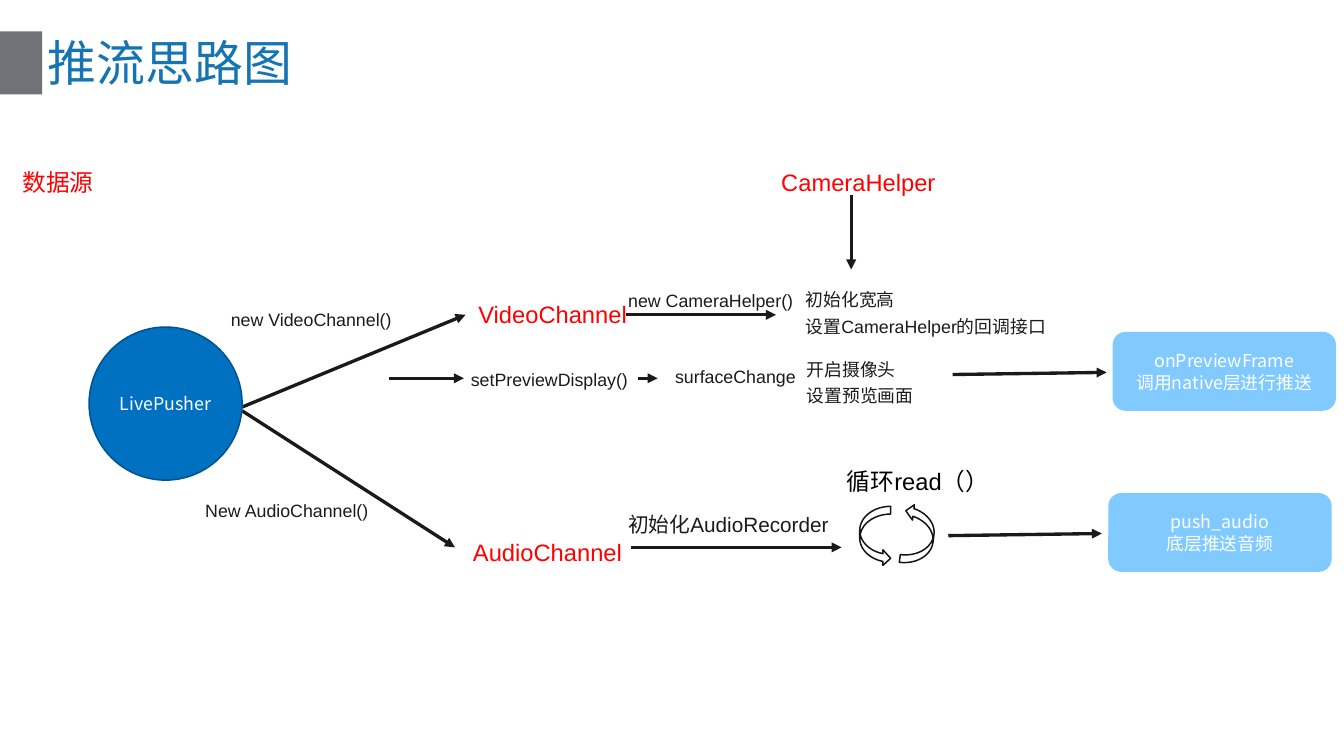
from dataclasses import dataclass

from lxml import etree
from pptx import Presentation
from pptx.dml.color import RGBColor
from pptx.enum.shapes import MSO_CONNECTOR, MSO_SHAPE
from pptx.enum.text import MSO_ANCHOR, PP_ALIGN
from pptx.oxml.ns import qn
from pptx.util import Inches, Pt

RECT, OVAL = MSO_SHAPE.RECTANGLE, MSO_SHAPE.OVAL
ROUNDED, CURVED = MSO_SHAPE.ROUNDED_RECTANGLE, MSO_SHAPE.CURVED_RIGHT_ARROW
STRAIGHT, MIDDLE = MSO_CONNECTOR.STRAIGHT, MSO_ANCHOR.MIDDLE
LEFT, CENTER, JUSTIFY = PP_ALIGN.LEFT, PP_ALIGN.CENTER, PP_ALIGN.JUSTIFY


@dataclass(frozen=True)
class Theme:
    title: RGBColor = RGBColor(0x14, 0x75, 0xB2)
    bar: RGBColor = RGBColor(0x6F, 0x73, 0x78)
    red: RGBColor = RGBColor(0xFF, 0x00, 0x00)
    text: RGBColor = RGBColor(0x1B, 0x1B, 0x1B)
    black: RGBColor = RGBColor(0x00, 0x00, 0x00)
    white: RGBColor = RGBColor(0xFF, 0xFF, 0xFF)
    arrow: RGBColor = RGBColor(0x1A, 0x1A, 0x1A)
    loop: RGBColor = RGBColor(0x14, 0x14, 0x14)
    circle: RGBColor = RGBColor(0x00, 0x70, 0xC0)
    circle_edge: RGBColor = RGBColor(0x00, 0x53, 0x8E)
    box: RGBColor = RGBColor(0x80, 0xCA, 0xFF)
    title_size: int = 66
    large: int = 32
    medium: int = 28
    small: int = 24
    arial: str = "Arial"
    noto: str = "Noto Sans CJK SC"


T = Theme()


def write(sp, text, size, color, font, align, spacing=None):
    tf = sp.text_frame
    tf.word_wrap = True
    tf.text = text
    for p in tf.paragraphs:
        p.alignment = align
        if spacing:
            p.line_spacing = spacing
        p.font.size = Pt(size)
        p.font.color.rgb = color
        p.font.name = font
        east_asian = etree.SubElement(p._p.pPr.find(qn("a:defRPr")), qn("a:ea"))
        east_asian.set("typeface", font)
    return tf


def add_shape(kind, box, fill=None, edge=None):
    sp = s.shapes.add_shape(kind, *map(Inches, box))
    sp.shadow.inherit = False
    if fill is None:
        sp.fill.background()
    else:
        sp.fill.solid()
        sp.fill.fore_color.rgb = fill
    if edge is None:
        sp.line.fill.background()
    else:
        sp.line.color.rgb = edge
        sp.line.width = Pt(2)
    return sp


prs = Presentation()
prs.slide_width, prs.slide_height = Inches(25.2), Inches(14.17)
s = prs.slides.add_slide(prs.slide_layouts[5])

add_shape(RECT, (0, 0.59, 0.79, 1.18), T.bar)
title = s.shapes.title
title.left, title.top, title.width, title.height = map(Inches, (0.79, 0.57, 23.62, 1.2))
write(title, "推流思路图", T.title_size, T.title, T.noto, LEFT).vertical_anchor = MIDDLE

arrows = [
    (4.54, 7.7, 8.53, 10.26),
    (4.54, 7.63, 8.73, 5.9),
    (11.74, 5.9, 14.55, 5.9),
    (11.83, 10.26, 15.78, 10.26),
    (17.86, 7.02, 20.75, 6.98),
    (15.96, 3.65, 15.96, 5.05),
    (7.29, 7.09, 8.7, 7.09),
    (11.97, 7.09, 12.33, 7.09),
    (17.78, 10.04, 20.66, 10),
]
for ends in arrows:
    arrow = s.shapes.add_connector(STRAIGHT, *map(Inches, ends))
    arrow.line.color.rgb = T.arrow
    arrow.line.width = Pt(4.5)
    etree.SubElement(arrow.line._get_or_add_ln(), qn("a:tailEnd")).set("type", "triangle")
    etree.SubElement(arrow._element.spPr, qn("a:effectLst"))

nodes = [
    (OVAL, (1.67, 6.13, 2.87, 2.87), T.circle, T.circle_edge, "LivePusher"),
    (ROUNDED, (20.86, 6.22, 4.19, 1.48), T.box, None, "onPreviewFrame\v调用native层进行推送"),
    (ROUNDED, (20.78, 9.24, 4.19, 1.48), T.box, None, "push_audio\n底层推送音频"),
]
for kind, box, fill, edge, text in nodes:
    node = add_shape(kind, box, fill, edge)
    write(node, text, T.small, T.white, T.noto, CENTER).vertical_anchor = MIDDLE

for left, top, rotation in [(16.12, 9.49, 0), (16.93, 9.46, 187.2)]:
    add_shape(CURVED, (left, top, 0.58, 1.12), edge=T.loop).rotation = rotation

labels = [
    (0.32, 2.97, 2.3, 0.68, "数据源", T.large, T.red),
    (8.87, 5.44, 4.95, 0.68, "VideoChannel", T.large, T.red),
    (8.77, 9.89, 4.95, 0.68, "AudioChannel", T.large, T.red),
    (14.55, 2.97, 4.95, 0.68, "CameraHelper", T.large, T.red),
    (4.23, 5.63, 4.95, 0.54, "new VideoChannel()", T.small, T.text),
    (3.75, 9.22, 4.95, 0.54, "New AudioChannel()", T.small, T.text),
    (11.68, 5.28, 4.95, 0.54, "new CameraHelper()", T.small, T.text),
    (8.73, 6.76, 3.25, 0.54, "setPreviewDisplay()", T.small, T.text),
    (12.56, 6.71, 2.47, 0.53, "surfaceChange", T.small, T.text),
    (15.01, 5.26, 4.95, 1.04, "初始化宽高\n设置CameraHelper的回调接口", T.small, T.text),
    (15.03, 6.57, 4.95, 1.04, "开启摄像头\n设置预览画面", T.small, T.text),
    (11.68, 9.43, 4.28, 0.61, "初始化AudioRecorder", T.medium, T.text),
    (15.78, 8.56, 2.88, 0.68, "循环read（）", T.large, T.black),
]
for *box, text, size, color in labels:
    label = s.shapes.add_textbox(*map(Inches, box))
    write(label, text, size, color, T.arial, JUSTIFY, 1.25)

prs.save("out.pptx")
